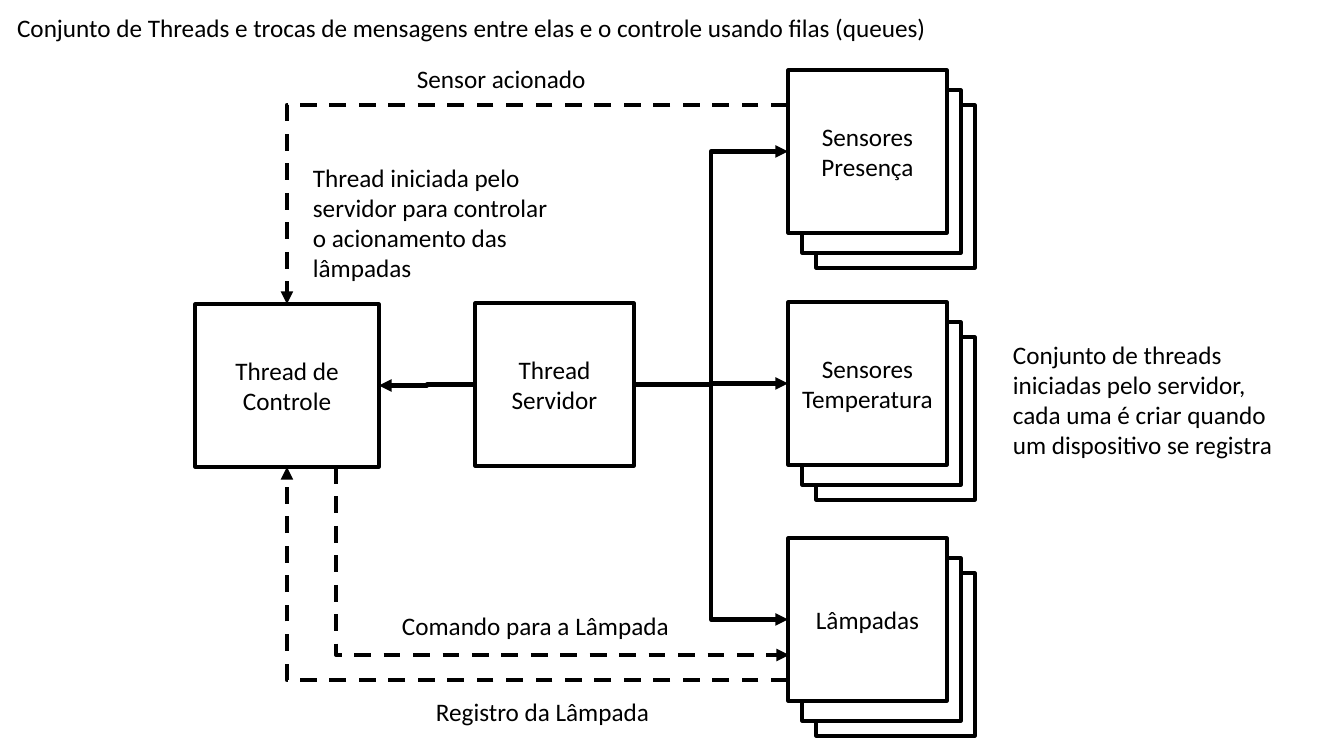
import pptx
import pptx.util
import pptx.dml.color
import pptx.enum.dml
import pptx.enum.shapes
import pptx.enum.text
import pptx.oxml
import pptx.oxml.ns

BLACK = pptx.dml.color.RGBColor(0, 0, 0)
WHITE = pptx.dml.color.RGBColor(255, 255, 255)
EMU_PER_PX = 914400 / 100.8
BOX_W, BOX_H = 159, 163
LAYERS = ((28, 35), (14, 20), (0, 0))
TOP, LEFT, BOTTOM, RIGHT = range(4)


def px(n):
    """Turn pixels into EMU."""
    return pptx.util.Emu(round(n * EMU_PER_PX))


def write(tf, text, align, anchor, wrap):
    """Fill a text frame with one black Calibri run."""
    tf.word_wrap = wrap
    tf.vertical_anchor = anchor
    p = tf.paragraphs[0]
    p.alignment = align
    r = p.add_run()
    r.text = text
    r.font.name = "Calibri"
    r.font.size = pptx.util.Pt(18)
    r.font.color.rgb = BLACK


def add_title(s, x, y, w, h, text):
    """Place the title placeholder at the top left."""
    sp = s.shapes.title
    sp.left, sp.top, sp.width, sp.height = map(px, (x, y, w, h))
    write(sp.text_frame, text, pptx.enum.text.PP_ALIGN.LEFT,
          pptx.enum.text.MSO_ANCHOR.TOP, False)
    sp.text_frame.auto_size = pptx.enum.text.MSO_AUTO_SIZE.SHAPE_TO_FIT_TEXT


def add_note(s, x, y, w, h, text, wrap=False):
    """Place a free text label."""
    tf = s.shapes.add_textbox(*map(px, (x, y, w, h))).text_frame
    write(tf, text, pptx.enum.text.PP_ALIGN.LEFT,
          pptx.enum.text.MSO_ANCHOR.TOP, wrap)
    tf.auto_size = pptx.enum.text.MSO_AUTO_SIZE.SHAPE_TO_FIT_TEXT


def add_box(s, x, y, w, h, text=""):
    """Draw an outlined box with optional centred text."""
    sp = s.shapes.add_shape(pptx.enum.shapes.MSO_SHAPE.RECTANGLE,
                            *map(px, (x, y, w, h)))
    sp.shadow.inherit = False
    sp.fill.solid()
    sp.fill.fore_color.rgb = WHITE
    sp.line.color.rgb = BLACK
    sp.line.width = pptx.util.Pt(2.25)
    if text:
        write(sp.text_frame, text, pptx.enum.text.PP_ALIGN.CENTER,
              pptx.enum.text.MSO_ANCHOR.MIDDLE, True)
    return sp


def add_stack(s, x, y, w, h, text):
    """Draw a pile of boxes and return the front one."""
    for dx, dy in LAYERS:
        sp = add_box(s, x + dx, y + dy, w, h, "" if dx else text)
    return sp


def add_arrow(s, x1, y1, x2, y2, dashed=False):
    """Draw an elbow arrow between two points."""
    cn = s.shapes.add_connector(pptx.enum.shapes.MSO_CONNECTOR.ELBOW,
                                *map(px, (x1, y1, x2, y2)))
    cn.line.color.rgb = BLACK
    cn.line.width = pptx.util.Pt(3)
    spPr = cn._element.spPr
    if dashed:
        cn.line.dash_style = pptx.enum.dml.MSO_LINE.DASH
        spPr.find(pptx.oxml.ns.qn("a:prstGeom")).set("prst", "bentConnector2")
    ns = pptx.oxml.ns.nsdecls("a")
    spPr.find(pptx.oxml.ns.qn("a:ln")).append(
        pptx.oxml.parse_xml(f'<a:tailEnd {ns} type="triangle"/>'))
    spPr.append(pptx.oxml.parse_xml(f"<a:effectLst {ns}/>"))
    return cn


def add_down_arrow(s, x1, y1, x2, y2):
    """Draw a dashed arrow that goes down first, then right."""
    cx, cy = (x1 + x2) / 2, (y1 + y2) / 2
    dx, dy = (x2 - x1) / 2, (y2 - y1) / 2
    cn = add_arrow(s, cx + dy, cy - dx, cx - dy, cy + dx, True)
    cn._element.spPr.find(pptx.oxml.ns.qn("a:xfrm")).set("rot", "16200000")


def add_diagram(s, x, y):
    """Draw the threads and the queues between them."""
    server = add_box(s, x + 280, y + 233, BOX_W, BOX_H, "Thread Servidor")
    stacks = [add_stack(s, x + 593, y + dy, BOX_W, BOX_H, text)
              for dy, text in ((0, "Sensores Presença"),
                               (232, "Sensores Temperatura"),
                               (468, "Lâmpadas"))]
    control = add_box(s, x, y + 234, 184, BOX_H, "Thread de Controle")

    links = [(RIGHT, sp, LEFT) for sp in stacks] + [(LEFT, control, RIGHT)]
    for start, target, end in links:
        cn = add_arrow(s, 0, 0, 1, 1)
        cn.begin_connect(server, start)
        cn.end_connect(target, end)

    for dy, end_y, side in ((35, 234, TOP), (610, 397, BOTTOM)):
        cn = add_arrow(s, x + 593, y + dy, x + 92, y + end_y, True)
        cn.end_connect(control, side)
    add_down_arrow(s, x + 141, y + 397, x + 594, y + 585)

    add_note(s, x + 212, y - 12, 190, 40, "Sensor acionado")
    add_note(s, x + 231, y + 621, 236, 40, "Registro da Lâmpada")
    add_note(s, x + 197, y + 535, 290, 40, "Comando para a Lâmpada")
    add_note(s, x + 808, y + 264, 293, 132,
             "Conjunto de threads iniciadas pelo servidor, cada uma é criar "
             "quando um dispositivo se registra", True)
    add_note(s, x + 108, y + 87, 262, 132,
             "Thread iniciada pelo servidor para controlar o acionamento "
             "das lâmpadas", True)


def main():
    """Build the slide and save it."""
    prs = pptx.Presentation()
    prs.slide_width, prs.slide_height = px(1344), px(756)
    s = prs.slides.add_slide(prs.slide_layouts[5])
    add_title(s, 7, 7, 940, 40,
              "Conjunto de Threads e trocas de mensagens entre elas e o "
              "controle usando filas (queues)")
    add_diagram(s, 195, 70)
    prs.save("out.pptx")


if __name__ == "__main__":
    main()
